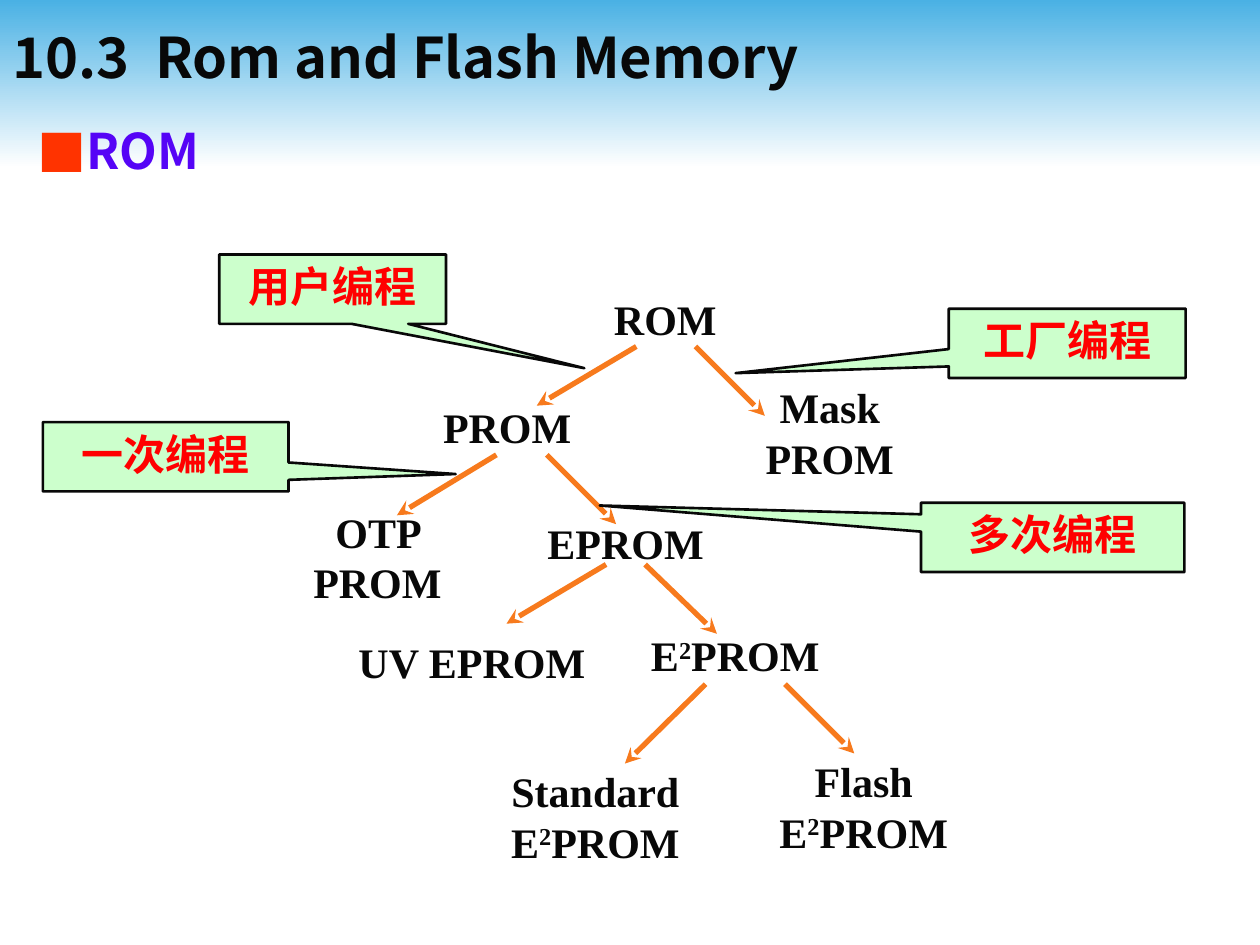
"""Build the ROM family tree slide."""
from dataclasses import dataclass

from lxml.etree import SubElement
from pptx import Presentation
from pptx.dml.color import RGBColor as Rgb
from pptx.enum.shapes import MSO_CONNECTOR as Link, MSO_SHAPE as Shape
from pptx.enum.text import MSO_ANCHOR as Anchor, PP_ALIGN as Align
from pptx.oxml.ns import qn
from pptx.util import Inches, Pt


@dataclass(frozen=True)
class Theme:
    sky: Rgb = Rgb.from_string("4AB1E4")
    white: Rgb = Rgb.from_string("FFFFFF")
    ink: Rgb = Rgb.from_string("080808")
    violet: Rgb = Rgb.from_string("5504F6")
    red: Rgb = Rgb.from_string("FF0000")
    orange: Rgb = Rgb.from_string("F77A1D")
    mint: Rgb = Rgb.from_string("CCFFCC")
    bullet: str = "FF3300"
    sans: str = "Noto Sans CJK JP"
    serif: str = "Times New Roman"
    title_size: int = 32
    heading_size: int = 28
    label_size: int = 24


@dataclass(frozen=True)
class Node:
    text: str
    left: float
    top: float
    width: float
    height: float = 0.5


@dataclass(frozen=True)
class Arrow:
    start: tuple[float, float]
    end: tuple[float, float]


@dataclass(frozen=True)
class Callout:
    text: str
    left: float
    top: float
    width: float
    tip: tuple[float, float]
    height: float = 0.55


THEME = Theme()
TITLE = Node("10.3  Rom and Flash Memory", 0, 0.05, 10, 0.79)
HEADING = Node("ROM", 0.2, 0.91, 9.53, 6.59)
NODES = (
    Node("ROM", 3.94, 2.28, 2.68),
    Node("PROM", 3.08, 3.14, 1.89),
    Node("Mask PROM", 5.76, 2.98, 1.65, 0.9),
    Node("OTP PROM", 2.05, 3.97, 1.89, 0.9),
    Node("EPROM", 4.02, 4.06, 1.89),
    Node("UV EPROM", 2.68, 5, 2.13),
    Node("E^2^PROM", 4.89, 4.95, 1.89),
    Node("Standard E^2^PROM", 3.78, 6.03, 1.89, 0.9),
    Node("Flash E^2^PROM", 5.91, 5.95, 1.89, 0.9),
)
ARROWS = (
    Arrow((5.05, 2.75), (4.26, 3.22)),
    Arrow((5.52, 2.75), (6.07, 3.3)),
    Arrow((3.94, 3.61), (3.15, 4.09)),
    Arrow((4.34, 3.61), (4.89, 4.16)),
    Arrow((4.81, 4.48), (4.02, 4.95)),
    Arrow((5.12, 4.48), (5.69, 5.03)),
    Arrow((5.6, 5.43), (4.96, 6.06)),
    Arrow((6.23, 5.43), (6.78, 5.98)),
)
CALLOUTS = (
    Callout("多次编程", 7.31, 3.99, 2.09, (-1.72, -0.46)),
    Callout("一次编程", 0.34, 3.35, 1.95, (1.18, 0.25)),
    Callout("工厂编程", 7.53, 2.45, 1.88, (-1.4, 0.43)),
    Callout("用户编程", 1.74, 2.02, 1.8, (1.11, 1.14)),
)


def frame(item: Node | Callout) -> list[int]:
    """Return the position and size of an item as lengths."""
    return [Inches(value) for value in (item.left, item.top, item.width, item.height)]


def write(box, text: str, face: str, size: int, color: Rgb, align=Align.LEFT, anchor=Anchor.TOP):
    """Fill a box with one bold paragraph, raising text between carets."""
    box.text_frame.word_wrap = True
    box.text_frame.vertical_anchor = anchor
    para = box.text_frame.paragraphs[0]
    para.alignment = align
    for index, part in enumerate(text.split("^")):
        span = para.add_run()
        span.text = part
        for name, value in {"name": face, "size": Pt(size), "bold": True}.items():
            setattr(span.font, name, value)
        span.font.color.rgb = color
        properties = span._r.get_or_add_rPr()
        SubElement(properties, qn("a:ea"), typeface=THEME.sans)
        if index % 2:
            properties.set("baseline", "30000")
    return para


def add_banner(page) -> None:
    """Draw the fading band across the top."""
    band = page.shapes.add_shape(Shape.RECTANGLE, 0, 0, Inches(10), Inches(1.33))
    band.shadow.inherit = False
    band.line.fill.background()
    band.fill.gradient()
    band.fill.gradient_angle = 270
    for stop, color in zip(band.fill.gradient_stops, (THEME.sky, THEME.white)):
        stop.color.rgb = color


def add_heading(page) -> None:
    """Draw the bulleted heading."""
    box = page.shapes.add_textbox(*frame(HEADING))
    para = write(box, HEADING.text, THEME.sans, THEME.heading_size, THEME.violet)
    properties = para._p.get_or_add_pPr()
    for name, value in {"marL": Inches(0.38), "indent": Inches(-0.38)}.items():
        properties.set(name, str(value))
    SubElement(SubElement(properties, qn("a:buClr")), qn("a:srgbClr"), val=THEME.bullet)
    SubElement(properties, qn("a:buFont"), typeface=THEME.sans)
    SubElement(properties, qn("a:buChar"), char="■")


def add_node(page, node: Node) -> None:
    """Draw one centred tree label."""
    box = page.shapes.add_textbox(*frame(node))
    write(box, node.text, THEME.serif, THEME.label_size, THEME.ink, Align.CENTER)


def add_arrow(page, arrow: Arrow) -> None:
    """Draw one branch with a stealth head."""
    points = [Inches(value) for value in arrow.start + arrow.end]
    branch = page.shapes.add_connector(Link.STRAIGHT, *points)
    branch.line.color.rgb = THEME.orange
    branch.line.width = Pt(3)
    SubElement(branch.line._get_or_add_ln(), qn("a:tailEnd"), type="stealth")
    SubElement(branch._element.spPr, qn("a:effectLst"))


def add_callout(page, callout: Callout) -> None:
    """Draw one callout pointing at a branch."""
    box = page.shapes.add_shape(Shape.RECTANGULAR_CALLOUT, *frame(callout))
    box.shadow.inherit = False
    for index, value in enumerate(callout.tip):
        box.adjustments[index] = value
    box.fill.solid()
    box.fill.fore_color.rgb = THEME.mint
    box.line.color.rgb = THEME.ink
    box.line.width = Pt(1.5)
    write(box, callout.text, THEME.serif, THEME.label_size, THEME.red, Align.CENTER)


def main() -> None:
    """Assemble and save the deck."""
    deck = Presentation()
    deck.slide_width, deck.slide_height = Inches(10), Inches(7.5)
    page = deck.slides.add_slide(deck.slide_layouts[6])
    add_banner(page)
    title = page.shapes.add_textbox(*frame(TITLE))
    write(title, TITLE.text, THEME.sans, THEME.title_size, THEME.ink, anchor=Anchor.MIDDLE)
    add_heading(page)
    for node in NODES:
        add_node(page, node)
    for arrow in ARROWS:
        add_arrow(page, arrow)
    for callout in CALLOUTS:
        add_callout(page, callout)
    deck.save("out.pptx")


if __name__ == "__main__":
    main()
